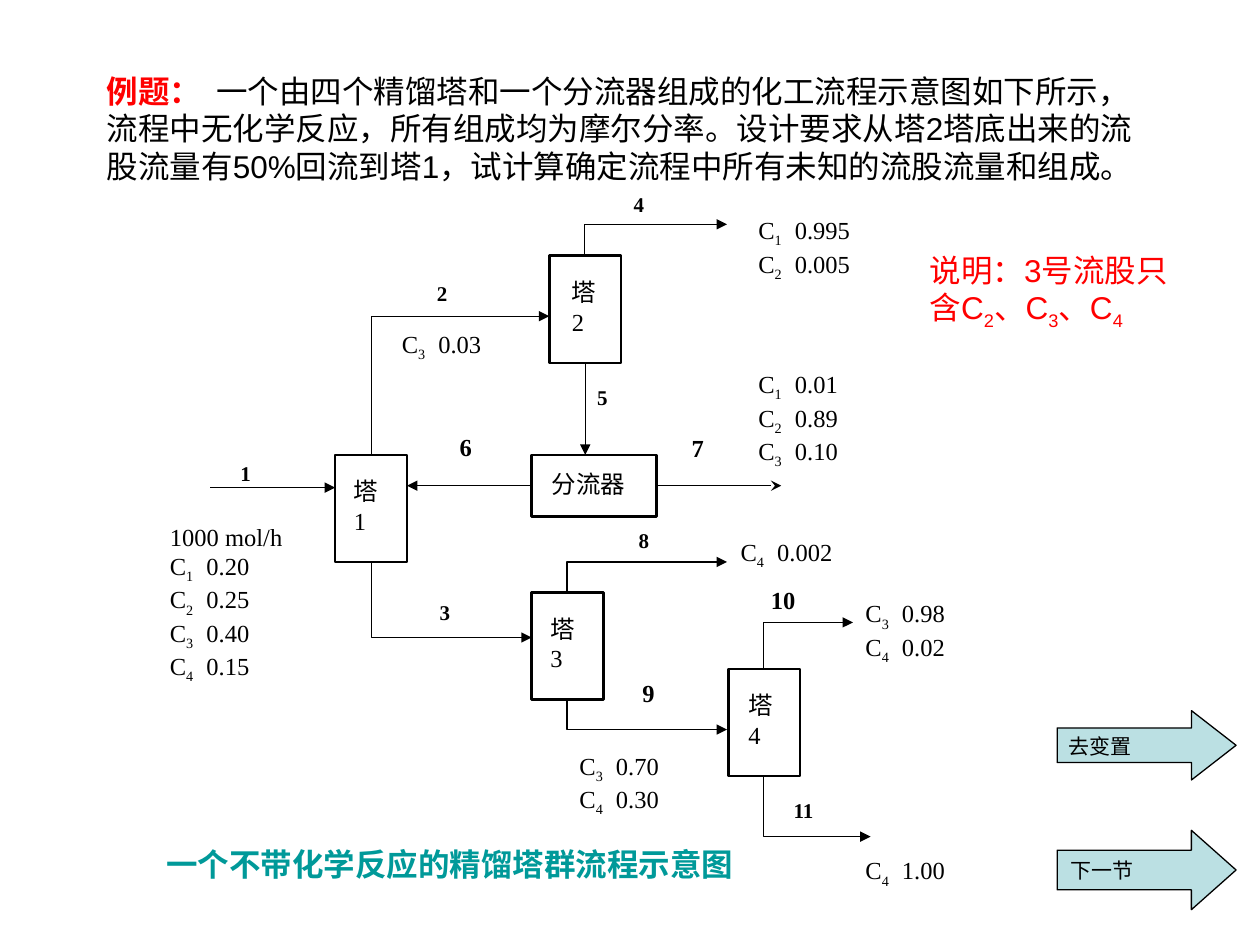
from lxml import etree
from pptx import Presentation
from pptx.dml.color import RGBColor
from pptx.enum import shapes as kinds, text
from pptx.oxml import ns
from pptx.util import Inches, Pt

BLACK = RGBColor(0, 0, 0)
WHITE = RGBColor(255, 255, 255)
RED = RGBColor(255, 0, 0)
TEAL = RGBColor(0, 0x99, 0x99)
PALE_BLUE = RGBColor(0xBB, 0xE0, 0xE3)

SERIF, SANS = "Times New Roman", "Arial"
DATA = {"name": SERIF, "size": Pt(14), "color": BLACK}
VALUE_TAB = 0.29
JUSTIFY = text.PP_ALIGN.JUSTIFY
BOTTOM, LEFT, RIGHT = 2, 1, 3

# number, left, top, width, height, size
STREAM_NUMBERS = [
    ("4", 4.93, 1.47, 0.57, 0.36, 12), ("11", 6.2, 6.28, 0.42, 0.49, 12),
    ("10", 6.02, 4.59, 0.61, 0.52, 14), ("9", 5, 5.33, 0.57, 0.49, 14),
    ("8", 4.97, 4.14, 0.57, 0.48, 12), ("7", 5.39, 3.39, 0.42, 0.49, 14),
    ("6", 3.55, 3.38, 0.57, 0.49, 14), ("5", 4.64, 3, 0.57, 0.36, 12),
    ("3", 3.39, 4.71, 0.57, 0.49, 12), ("2", 3.37, 2.18, 0.57, 0.37, 12),
    ("1", 1.81, 3.61, 0.57, 0.36, 12),
]
TOWERS = {1: (2.66, 3.61), 2: (4.36, 2.03), 3: (4.22, 4.7), 4: (5.78, 5.31)}
TOWER_SIZE = (0.57, 0.85)
SPLITTER = (4.22, 3.61, 0.99, 0.49)
TOWER_NAMES = {1: (2.71, 3.73), 2: (4.44, 2.15), 3: (4.27, 4.82), 4: (5.84, 5.43)}

# tower axis x, start y, turn y, end x
BENT_STREAMS = [
    (2.95, 3.61, 2.51, 4.36), (4.64, 2.03, 1.78, 5.77),
    (2.95, 4.46, 5.06, 4.22), (4.5, 5.55, 5.79, 5.77),
    (4.5, 4.7, 4.46, 5.77), (6.06, 5.31, 4.94, 6.77),
    (6.06, 6.16, 6.64, 6.91),
]
# left, top, width, height, lines; "_" puts the next character below the line
COMPOSITIONS = [
    (1.25, 4.09, 1.13, 1.34, ["1000 mol/h", "C_1\t0.20", "C_2\t0.25", "C_3\t0.40", "C_4\t0.15"]),
    (3.09, 2.56, 0.85, 0.37, ["C_3\t0.03"]),
    (5.92, 1.66, 1.13, 0.73, ["C_1\t0.995", "C_2\t0.005"]),
    (5.92, 2.88, 0.99, 0.85, ["C_1\t0.01", "C_2\t0.89", "C_3\t0.10"]),
    (4.5, 5.91, 0.99, 0.61, ["C_3\t0.70", "C_4\t0.30"]),
    (5.78, 4.21, 1.13, 0.49, ["C_4\t0.002"]),
    (6.77, 4.7, 0.99, 0.61, ["C_3\t0.98", "C_4\t0.02"]),
    (6.77, 6.74, 0.99, 0.49, ["C_4\t1.00"]),
]
# arrow top, height, head ratio, caption, caption place
NEXT_ARROWS = [
    (5.64, 0.55, 0.643, "去变置", (8.38, 5.77, 0.72, 0.3)),
    (6.59, 0.63, 0.563, "下一节", (8.4, 6.76, 0.71, 0.3)),
]


def inches(place):
    return [Inches(value) for value in place]


def add_run(paragraph, words, style, subscript=False):
    run = paragraph.add_run()
    run.text = words
    for key, value in style.items():
        if key == "color":
            run.font.color.rgb = value
        else:
            setattr(run.font, key, value)
    if subscript:
        run.font._element.set("baseline", "-25000")


def add_tab_stop(paragraph, position):
    stops = etree.SubElement(paragraph._p.get_or_add_pPr(), ns.qn("a:tabLst"))
    etree.SubElement(stops, ns.qn("a:tab"), pos=str(Inches(position)), algn="l")


def write(frame, lines, style, align=text.PP_ALIGN.LEFT, tab=None):
    """Fill a frame with lines, where "_" makes the next character a subscript."""
    frame.word_wrap = True
    frame.vertical_anchor = text.MSO_ANCHOR.TOP
    for index, line in enumerate(lines):
        paragraph = frame.add_paragraph() if index else frame.paragraphs[0]
        paragraph.alignment = align
        if tab:
            add_tab_stop(paragraph, tab)
        plain, *marked = line.split("_")
        add_run(paragraph, plain, style)
        for part in marked:
            add_run(paragraph, part[0], style, subscript=True)
            if part[1:]:
                add_run(paragraph, part[1:], style)


def add_text(shapes, place, line, style, **layout):
    frame = shapes.add_textbox(*inches(place)).text_frame
    write(frame, [line], style, **layout)
    frame.auto_size = text.MSO_AUTO_SIZE.SHAPE_TO_FIT_TEXT
    return frame.paragraphs[0]


def add_block(shapes, place, fill=WHITE, line_width=None, kind=kinds.MSO_SHAPE.RECTANGLE):
    block = shapes.add_shape(kind, *inches(place))
    block.shadow.inherit = False
    block.fill.solid()
    block.fill.fore_color.rgb = fill
    if line_width:
        block.line.color.rgb = BLACK
        block.line.width = Pt(line_width)
    else:
        block.line.fill.background()
    return block


def add_label(shapes, place, lines, style, tab=None):
    write(add_block(shapes, place).text_frame, lines, style, JUSTIFY, tab)


def finish_stream(stream, head="triangle"):
    stream.line.color.rgb = BLACK
    stream.line.width = Pt(0.75)
    etree.SubElement(stream.line._get_or_add_ln(), ns.qn("a:tailEnd"), type=head)


def add_bent_stream(shapes, axis, start, turn, end):
    builder = shapes.build_freeform(Inches(axis), Inches(start))
    builder.add_line_segments([inches((axis, turn)), inches((end, turn))], close=False)
    stream = builder.convert_to_shape()
    stream.shadow.inherit = False
    stream.fill.background()
    finish_stream(stream)


def add_straight_stream(shapes, start, end, head="triangle"):
    stream = shapes.add_connector(kinds.MSO_CONNECTOR.STRAIGHT, *start, *end)
    etree.SubElement(stream._element.spPr, ns.qn("a:effectLst"))
    finish_stream(stream, head)
    return stream


def add_outlet(shapes, unit, side, length, head="triangle"):
    """Run a straight stream outwards from the middle of a unit's side."""
    step_x, step_y = {BOTTOM: (0, 1), LEFT: (-1, 0), RIGHT: (1, 0)}[side]
    x = unit.left + (1 + step_x) * unit.width // 2
    y = unit.top + (1 + step_y) * unit.height // 2
    end = x + step_x * Inches(length), y + step_y * Inches(length)
    add_straight_stream(shapes, (x, y), end, head).begin_connect(unit, side)


def add_flowsheet(shapes):
    for number, *place, size in STREAM_NUMBERS:
        add_label(shapes, place, [number], {**DATA, "size": Pt(size), "bold": True})
    towers = {number: add_block(shapes, corner + TOWER_SIZE, line_width=1.5)
              for number, corner in TOWERS.items()}
    splitter = add_block(shapes, SPLITTER, line_width=1.5)

    for stream in BENT_STREAMS:
        add_bent_stream(shapes, *stream)
    add_outlet(shapes, towers[2], BOTTOM, 0.73)
    add_outlet(shapes, splitter, LEFT, 0.99)
    add_outlet(shapes, splitter, RIGHT, 0.99, "stealth")
    add_straight_stream(shapes, inches((1.67, 3.87)), inches((2.66, 3.87)))

    for number, corner in TOWER_NAMES.items():
        add_label(shapes, corner + (0.42, 0.61), ["塔", str(number)], DATA)
    add_label(shapes, (4.28, 3.67, 0.85, 0.37), ["分流器"], DATA)
    for *place, lines in COMPOSITIONS:
        add_label(shapes, place, lines, DATA, VALUE_TAB)


def add_next_arrow(shapes, top, height, head, caption, place):
    arrow = add_block(shapes, (8.39, top, 1.42, height), PALE_BLUE, 0.75,
                      kinds.MSO_SHAPE.RIGHT_ARROW)
    arrow.adjustments[1] = head
    add_text(shapes, place, caption, {"name": SANS, "size": Pt(12), "color": BLACK})


def main():
    deck = Presentation()
    deck.slide_width, deck.slide_height = inches((10, 7.5))
    shapes = deck.slides.add_slide(deck.slide_layouts[6]).shapes

    body = {"name": SANS, "size": Pt(18), "color": BLACK}
    red = {**body, "color": RED}
    problem = add_text(shapes, (0.75, 0.52, 8.5, 1.3), "例题：", {**red, "bold": True}, tab=0.87)
    add_run(problem, "\t一个由四个精馏塔和一个分流器组成的化工流程示意图如下所示，"
            "流程中无化学反应，所有组成均为摩尔分率。设计要求从塔2塔底出来的流股流量有50%"
            "回流到塔1，试计算确定流程中所有未知的流股流量和组成。", body)
    add_flowsheet(shapes.add_group_shape().shapes)
    add_text(shapes, (1.22, 6.66, 4.8, 0.4), "一个不带化学反应的精馏塔群流程示意图",
             {"name": SERIF, "size": Pt(18), "color": TEAL, "bold": True}, align=JUSTIFY)
    add_text(shapes, (7.28, 1.94, 2.2, 1.08), "说明：3号流股只含C_2、C_3、C_4", red)
    for arrow in NEXT_ARROWS:
        add_next_arrow(shapes, *arrow)
    deck.save("out.pptx")


if __name__ == "__main__":
    main()
